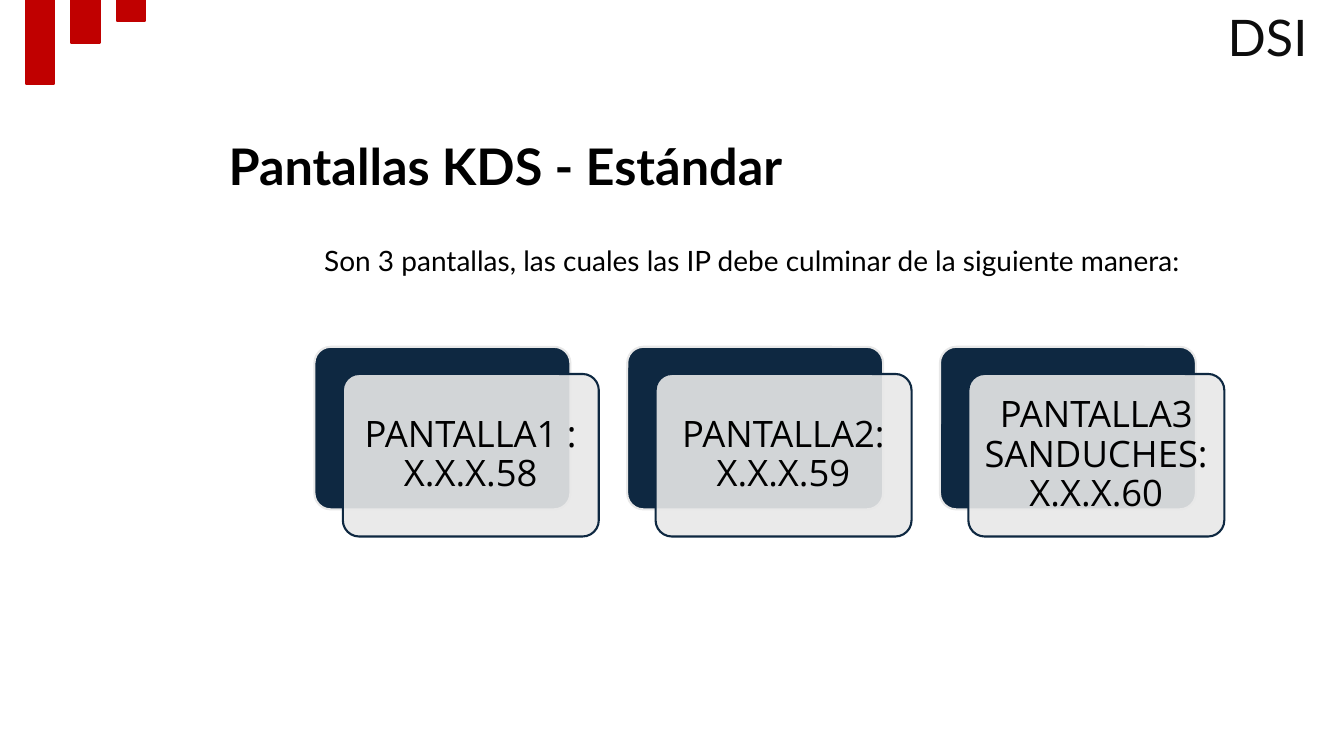
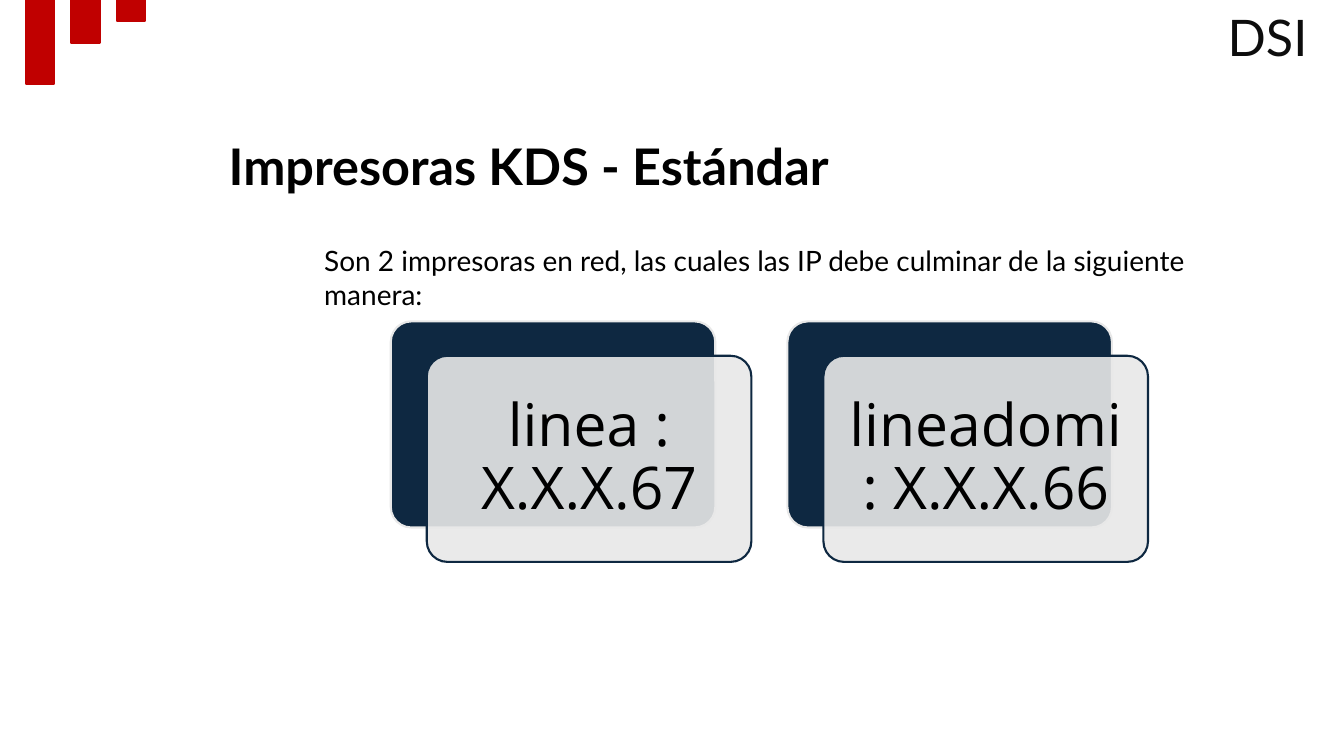
from lxml.etree import SubElement
from pptx import Presentation
from pptx.dml.color import RGBColor
from pptx.enum.shapes import MSO_SHAPE
from pptx.enum.text import MSO_ANCHOR, MSO_AUTO_SIZE, PP_ALIGN
from pptx.oxml.ns import qn
from pptx.util import Cm, Pt

RED = RGBColor(0xC0, 0x00, 0x00)
NAVY = RGBColor(0x0E, 0x28, 0x41)
MIST = RGBColor(0xE8, 0xE8, 0xE8)
BLACK = RGBColor(0x00, 0x00, 0x00)
CHARCOAL = RGBColor(0x0D, 0x0D, 0x0D)

TITLE_FONT = {"name": "Lato", "size": Pt(36), "bold": True}
INTRO_FONT = {"name": "Lato", "size": Pt(20)}
BADGE_FONT = {"name": "Lato", "size": Pt(36)}

TOP_FRAME = {"word_wrap": True, "auto_size": MSO_AUTO_SIZE.NONE,
             "vertical_anchor": MSO_ANCHOR.TOP}
CARD_FRAME = {**TOP_FRAME, "vertical_anchor": MSO_ANCHOR.MIDDLE}

# Card proportions, as shares of the card width
CARD_HEIGHT = 0.635
CARD_PITCH = 1.222
SHIFT_X = 0.111
SHIFT_Y = 0.106
CARDS_CENTER = (Cm(19.39), Cm(11.13))

SLIDES = [
    {
        "title": "Pantallas KDS - Estándar",
        "intro": "Son 3 pantallas, las cuales las IP debe culminar de la siguiente manera:",
        "cards": ["PANTALLA1 : X.X.X.58", "PANTALLA2: X.X.X.59",
                  "PANTALLA3 SANDUCHES: X.X.X.60"],
        "card_width": Cm(6.45), "card_inset": Cm(0.28), "card_size": Pt(26),
    },
    {
        "title": "Impresoras KDS - Estándar",
        "intro": "Son 2 impresoras en red, las cuales las IP debe culminar de la siguiente manera:",
        "cards": ["linea : X.X.X.67", "lineadomi: X.X.X.66"],
        "card_width": Cm(8.18), "card_inset": Cm(0.43), "card_size": Pt(42),
    },
]


def apply(target, values):
    for key, value in values.items():
        setattr(target, key, value)


def write(shape, text, font, color=BLACK, frame=TOP_FRAME, **paragraph_format):
    apply(shape.text_frame, frame)
    paragraph = shape.text_frame.paragraphs[0]
    apply(paragraph, paragraph_format)
    run = paragraph.add_run()
    run.text = text
    apply(run.font, font)
    run.font.color.rgb = color


def add_panel(slide, preset, box, fill, line):
    panel = slide.shapes.add_shape(preset, *box)
    panel.shadow.inherit = False
    panel.fill.solid()
    panel.fill.fore_color.rgb = fill
    panel.line.color.rgb = line
    panel.line.width = Pt(1.5)
    return panel


def set_opacity(shape, percent):
    color = shape.fill._xPr.find(qn("a:solidFill")).find(qn("a:srgbClr"))
    SubElement(color, qn("a:alpha"), val=str(percent * 1000))


def add_header(slide):
    for index, height in enumerate((2.11, 1.09, 0.54)):
        bar = (Cm(0.66 + 1.14 * index), 0, Cm(0.71), Cm(height))
        add_panel(slide, MSO_SHAPE.RECTANGLE, bar, RED, RED)
    badge = slide.shapes.add_textbox(Cm(30.66), Cm(0.03), Cm(2.54), Cm(1.8))
    write(badge, "DSI", BADGE_FONT, CHARCOAL, alignment=PP_ALIGN.RIGHT)


def add_heading(slide, title, intro):
    apply(slide.shapes.title, {"left": Cm(5.51), "top": Cm(3.28),
                               "width": Cm(16.05), "height": Cm(1.8)})
    write(slide.shapes.title, title, TITLE_FONT, alignment=PP_ALIGN.LEFT)
    intro_box = slide.shapes.add_textbox(Cm(7.92), Cm(6.02), Cm(22.3), Cm(1.96))
    write(intro_box, intro, INTRO_FONT)


def add_card(slide, left, top, width, text, inset, size):
    """Draw a dark back plate and, shifted over it, a translucent labelled one."""
    height = int(width * CARD_HEIGHT)
    back = add_panel(slide, MSO_SHAPE.ROUNDED_RECTANGLE,
                     (left, top, width, height), NAVY, MIST)
    front = add_panel(slide, MSO_SHAPE.ROUNDED_RECTANGLE,
                      (left + int(width * SHIFT_X), top + int(width * SHIFT_Y),
                       width, height), MIST, NAVY)
    for plate in (back, front):
        plate.adjustments[0] = 0.1
    set_opacity(front, 90)
    sides = ("left", "top", "right", "bottom")
    frame = {**CARD_FRAME, **{f"margin_{side}": inset for side in sides}}
    write(front, text, {"name": "Open Sans", "size": size}, frame=frame,
          alignment=PP_ALIGN.CENTER, line_spacing=0.9)


def add_card_row(slide, center, cards, width, inset, size):
    center_x, center_y = center
    row_width = width * (CARD_PITCH * (len(cards) - 1) + 1 + SHIFT_X)
    left = center_x - row_width / 2
    top = int(center_y - width * (CARD_HEIGHT + SHIFT_Y) / 2)
    for index, text in enumerate(cards):
        card_left = int(left + index * width * CARD_PITCH)
        add_card(slide, card_left, top, width, text, inset, size)


def add_standard_slide(deck, content):
    title_only = deck.slide_layouts[5]
    slide = deck.slides.add_slide(title_only)
    add_header(slide)
    add_heading(slide, content["title"], content["intro"])
    add_card_row(slide, CARDS_CENTER, content["cards"], content["card_width"],
                 content["card_inset"], content["card_size"])


def main():
    deck = Presentation()
    apply(deck, {"slide_width": Cm(33.87), "slide_height": Cm(19.05)})
    for content in SLIDES:
        add_standard_slide(deck, content)
    deck.save("out.pptx")


if __name__ == "__main__":
    main()
